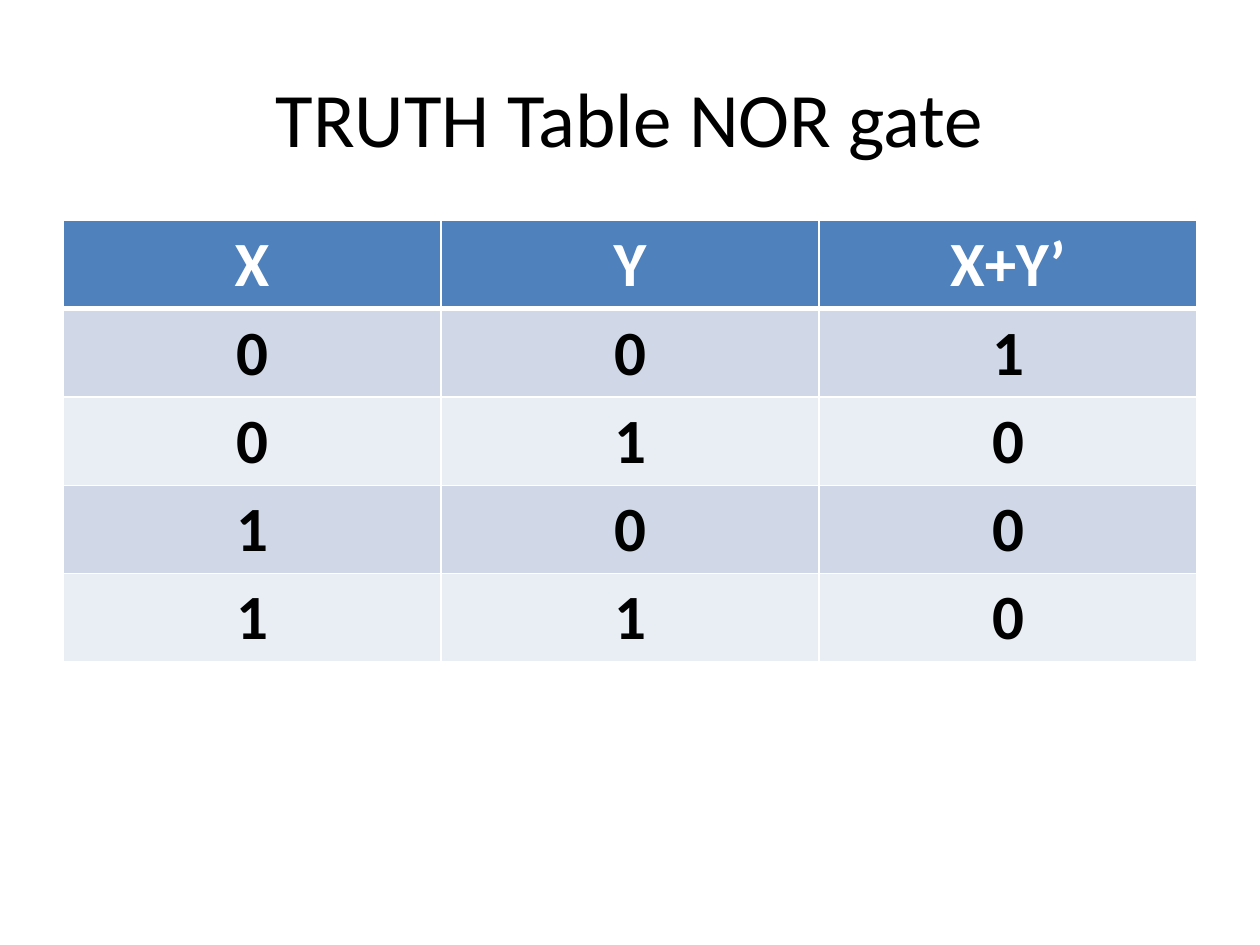
from lxml import etree
from pptx import Presentation, util as u
from pptx.dml.color import RGBColor
from pptx.enum import text
from pptx.oxml import ns

BLACK = RGBColor(0x00, 0x00, 0x00)
WHITE = RGBColor(0xFF, 0xFF, 0xFF)
BLUE = RGBColor(0x4F, 0x81, 0xBD)
BANDS = RGBColor(0xD0, 0xD8, 0xE8), RGBColor(0xE9, 0xED, 0xF4)

FONT = "Calibri"
WIDTH, HEIGHT = u.Inches(10), u.Inches(7.5)
COLUMNS, ROWS = 40, 30
TITLE_BOX = 2, 1.2, 36, 5
TABLE_BOX = 2, 7, 36, 14

TRUTH_TABLE = [
    ("X", "Y", "X+Y’"),
    ("0", "0", "1"),
    ("0", "1", "0"),
    ("1", "0", "0"),
    ("1", "1", "0"),
]


def place(box):
    """Turn grid columns and rows into slide lengths."""
    left, top, width, height = box
    column, row = WIDTH / COLUMNS, HEIGHT / ROWS
    return [round(n) for n in (left * column, top * row, width * column, height * row)]


def write(frame, content, size=36, color=BLACK, bold=False):
    """Write one centred line of formatted text."""
    para = frame.paragraphs[0]
    para.alignment = text.PP_ALIGN.CENTER
    span = para.add_run()
    span.text = content
    span.font.name = FONT
    span.font.size = u.Pt(size)
    span.font.bold = bold
    span.font.color.rgb = color


def set_borders(cell, bottom=1, top=1):
    """Draw white borders, with the widths in points."""
    properties = cell._tc.get_or_add_tcPr()
    for side, width in (("L", 1), ("R", 1), ("T", top), ("B", bottom)):
        line = etree.SubElement(properties, ns.qn(f"a:ln{side}"), w=str(u.Pt(width)))
        fill = etree.SubElement(line, ns.qn("a:solidFill"))
        etree.SubElement(fill, ns.qn("a:srgbClr"), val=str(WHITE))


def add_title(page, box, content):
    """Add the slide title, centred in its box."""
    frame = page.shapes.add_textbox(*place(box)).text_frame
    frame.word_wrap = True
    frame.vertical_anchor = text.MSO_ANCHOR.MIDDLE
    write(frame, content, size=44)


def add_truth_table(page, box, rows):
    """Add a table with a blue header and banded rows."""
    table = page.shapes.add_table(len(rows), len(rows[0]), *place(box)).table
    for r, values in enumerate(rows):
        header = r == 0
        for c, value in enumerate(values):
            cell = table.cell(r, c)
            set_borders(cell, bottom=3 if header else 1, top=3 if r == 1 else 1)
            cell.fill.solid()
            cell.fill.fore_color.rgb = BLUE if header else BANDS[(r - 1) % 2]
            write(cell.text_frame, value, color=WHITE if header else BLACK, bold=True)


def main():
    """Build and save the slide."""
    deck = Presentation()
    deck.slide_width, deck.slide_height = WIDTH, HEIGHT
    page = deck.slides.add_slide(deck.slide_layouts[6])
    add_title(page, TITLE_BOX, "TRUTH Table NOR gate")
    add_truth_table(page, TABLE_BOX, TRUTH_TABLE)
    deck.save("out.pptx")


if __name__ == "__main__":
    main()
